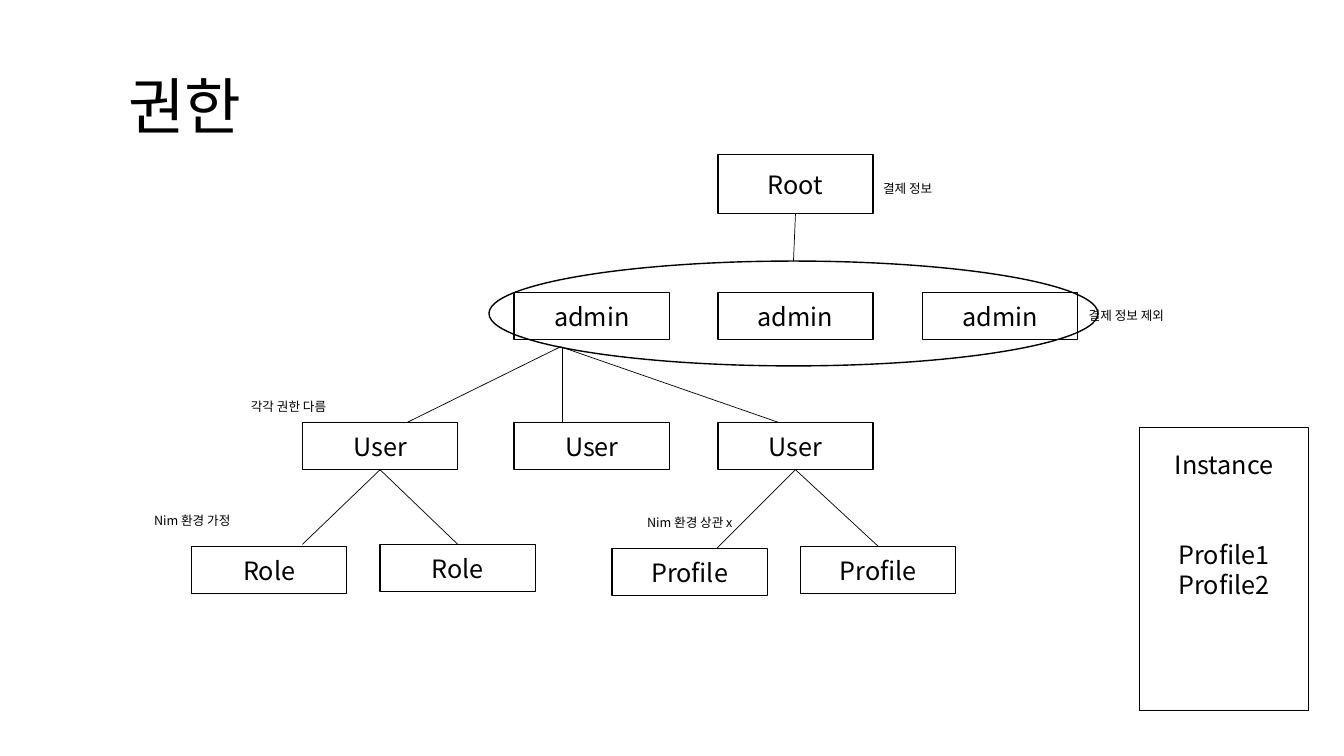
from collections import namedtuple
from dataclasses import dataclass

from lxml import etree
from pptx import Presentation
from pptx.dml.color import RGBColor
from pptx.enum.shapes import MSO_CONNECTOR, MSO_SHAPE
from pptx.enum.text import MSO_ANCHOR, MSO_AUTO_SIZE, PP_ALIGN
from pptx.oxml.ns import qn
from pptx.util import Emu, Pt

RECT, OVAL = MSO_SHAPE.RECTANGLE, MSO_SHAPE.OVAL
LINE = MSO_CONNECTOR.STRAIGHT
LEFT, CENTER = PP_ALIGN.LEFT, PP_ALIGN.CENTER
TOP, MIDDLE = MSO_ANCHOR.TOP, MSO_ANCHOR.MIDDLE
GROW, FIXED = MSO_AUTO_SIZE.SHAPE_TO_FIT_TEXT, MSO_AUTO_SIZE.NONE
TITLE_ONLY = 5
UP, DOWN = 0, 2
SCALE = 9144
NODE_W, NODE_H = 154, 47
COLS = (300, 510, 712, 915)

Box = namedtuple("Box", "x y w h")


@dataclass(frozen=True)
class Theme:
    font: str = "Noto Sans CJK KR"
    ink: RGBColor = RGBColor(0, 0, 0)
    paper: RGBColor = RGBColor(255, 255, 255)
    title: int = 44
    node: int = 18
    note: int = 9
    edge: float = 1
    thin: float = 0.5


THEME = Theme()


def px(n):
    return Emu(n * SCALE)


def place(box):
    return [px(n) for n in box]


def style(frame, size, align):
    for para in frame.paragraphs:
        para.alignment = align
        para.font.size = Pt(size)
        para.font.name = THEME.font
        para.font.color.rgb = THEME.ink


def outline(slide, kind, box):
    shape = slide.shapes.add_shape(kind, *place(box))
    shape.shadow.inherit = False
    shape.line.color.rgb = THEME.ink
    shape.line.width = Pt(THEME.edge)
    return shape


def node(slide, text, box):
    shape = outline(slide, RECT, box)
    shape.fill.solid()
    shape.fill.fore_color.rgb = THEME.paper
    frame = shape.text_frame
    frame.text = text
    frame.vertical_anchor = MIDDLE
    style(frame, THEME.node, CENTER)
    return shape


def note(slide, text, x, y, w=136):
    frame = slide.shapes.add_textbox(*place(Box(x, y, w, 25))).text_frame
    frame.text = text
    frame.word_wrap = True
    frame.auto_size = GROW
    style(frame, THEME.note, LEFT)


def link(slide, start=(0, 0), end=(0, 0), above=None, below=None):
    line = slide.shapes.add_connector(LINE, *place(start + end))
    line.line.color.rgb = THEME.ink
    line.line.width = Pt(THEME.thin)
    etree.SubElement(line._element.spPr, qn("a:effectLst"))
    if above is not None:
        line.begin_connect(above, DOWN)
    if below is not None:
        line.end_connect(below, UP)


def heading(slide, text, box):
    title = slide.shapes.title
    title.left, title.top, title.width, title.height = place(box)
    frame = title.text_frame
    frame.text = text
    frame.vertical_anchor = MIDDLE
    frame.auto_size = FIXED
    style(frame, THEME.title, LEFT)
    frame.paragraphs[0].line_spacing = 0.9


def root(slide, box):
    shape = node(slide, "Root", box)
    note(slide, "결제 정보", box.x + box.w, box.y + 22)
    return shape


def admins(slide, box, top):
    for x in COLS[1:]:
        node(slide, "admin", Box(x, box.y + 31, NODE_W, NODE_H))
    ring = outline(slide, OVAL, box)
    ring.fill.background()
    link(slide, above=top, below=ring)
    note(slide, "결제 정보 제외", box.x + 585, box.y + 42)


def users(slide, box):
    row = [node(slide, "User", Box(x, box.y, NODE_W, box.h)) for x in COLS[:3]]
    for start, end in ((256, 104), (258, 258), (256, 472)):
        link(slide, (box.x + start, box.y - 75), (box.x + end, box.y))
    note(slide, "각각 권한 다름", box.x - 61, box.y - 28)
    return row


def branch(slide, user, text, label, box, rise, end, shift):
    node(slide, text, Box(box.x, box.y, NODE_W, NODE_H))
    last = node(slide, text, Box(box.x + 187, box.y - 2, NODE_W, NODE_H))
    link(slide, end=(box.x + end, box.y - rise), above=user)
    link(slide, above=user, below=last)
    note(slide, label, box.x + shift, box.y - 38, 203)


def panel(slide, box):
    frame = node(slide, "Instance\nProfile1\nProfile2", box).text_frame
    frame.vertical_anchor = TOP
    frame.margin_top = px(22)
    for para in frame.paragraphs:
        para.line_spacing = Pt(21.5)
    frame.paragraphs[0].space_after = Pt(43)


def main():
    deck = Presentation()
    deck.slide_width, deck.slide_height = px(1333), px(750)
    slide = deck.slides.add_slide(deck.slide_layouts[TITLE_ONLY])
    heading(slide, "권한", Box(117, 36, 1150, 145))
    top = root(slide, Box(COLS[2], 153, NODE_W, 59))
    admins(slide, Box(485, 259, 604, 104), top)
    first, _, third = users(slide, Box(COLS[0], 419, 566, NODE_H))
    branch(slide, first, "Role", "Nim 환경 가정", Box(190, 542, 341, NODE_H), 2, 110, -47)
    branch(slide, third, "Profile", "Nim 환경 상관 x", Box(607, 544, 341, NODE_H), 0, 104, 25)
    panel(slide, Box(1130, 424, 168, 281))
    deck.save("out.pptx")


if __name__ == "__main__":
    main()
